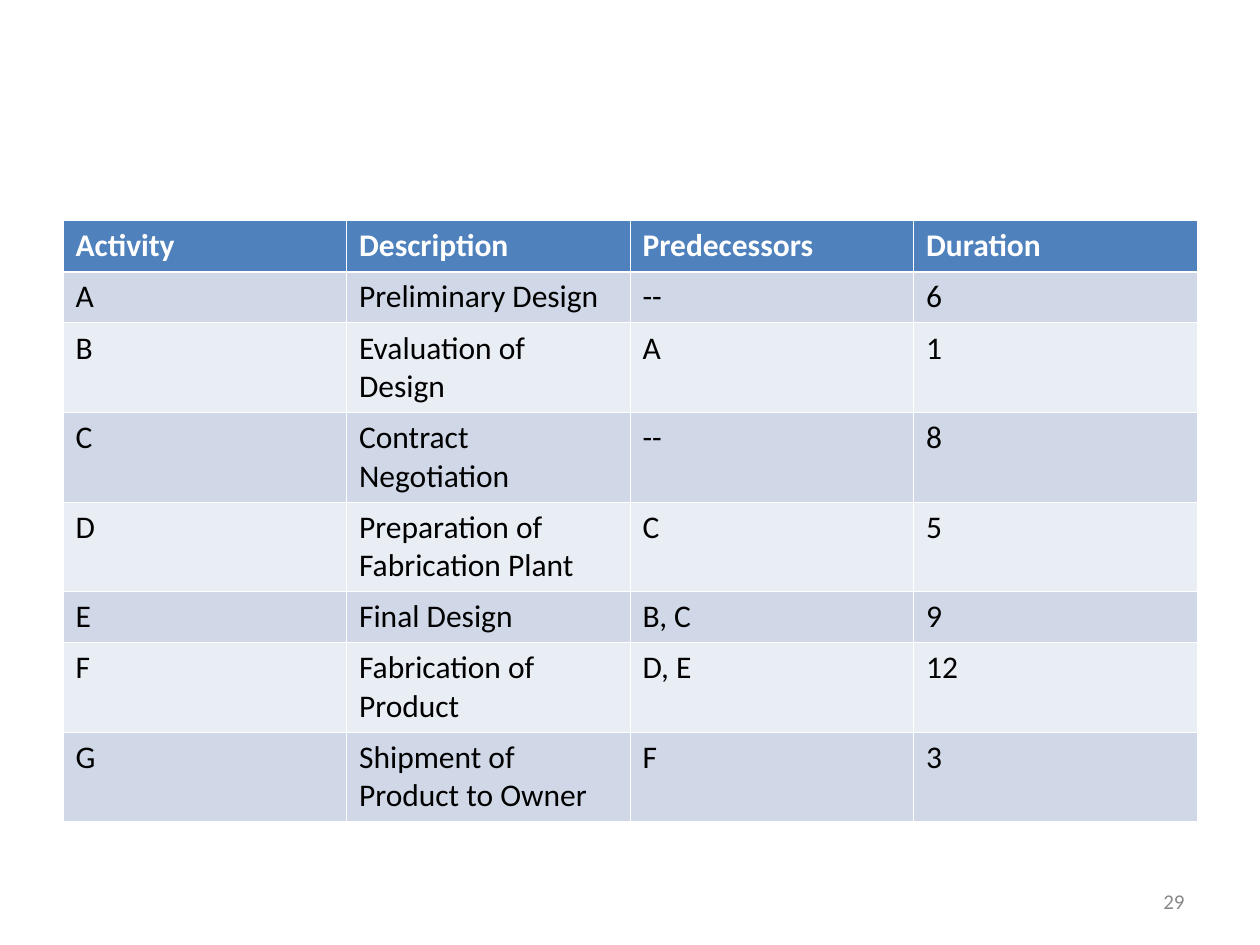
from lxml.etree import SubElement
from pptx import Presentation
from pptx.dml.color import RGBColor
from pptx.enum.text import MSO_ANCHOR as Anchor, PP_ALIGN as Align
from pptx.oxml.ns import qn
from pptx.util import Pt

WHITE = RGBColor(0xFF, 0xFF, 0xFF)
BLACK = RGBColor(0x00, 0x00, 0x00)
GREY = RGBColor(0x89, 0x89, 0x89)
BLUE = RGBColor(0x4F, 0x81, 0xBD)
BAND_DARK = RGBColor(0xD0, 0xD8, 0xE8)
BAND_LIGHT = RGBColor(0xE9, 0xED, 0xF4)

THIN, THICK = Pt(0.45), Pt(1.47)
SINGLE_LINE, DOUBLE_LINE = Pt(29.25), Pt(50.4)

ACTIVITIES = [
    ("Activity", "Description", "Predecessors", "Duration"),
    ("A", "Preliminary Design", "--", "6"),
    ("B", "Evaluation of Design", "A", "1"),
    ("C", "Contract Negotiation", "--", "8"),
    ("D", "Preparation of Fabrication Plant", "C", "5"),
    ("E", "Final Design", "B, C", "9"),
    ("F", "Fabrication of Product", "D, E", "12"),
    ("G", "Shipment of Product to Owner", "F", "3"),
]
ROW_HEIGHTS = [SINGLE_LINE if len(description) < 20 else DOUBLE_LINE
               for _, description, _, _ in ACTIVITIES]


class ScheduleSlide:
    font_name = "Calibri"
    table_size = Pt(18)
    number_size = Pt(12)

    def __init__(self, deck):
        self.slide = deck.slides.add_slide(deck.slide_layouts[6])

    def set_text(self, paragraph, text, color, **font_values):
        paragraph.text = text
        paragraph.font.color.rgb = color
        for attribute, value in {"name": self.font_name, **font_values}.items():
            setattr(paragraph.font, attribute, value)

    def border(self, cell, widths):
        properties = cell._tc.get_or_add_tcPr()
        for side, width in widths.items():
            line = SubElement(properties, qn(f"a:ln{side}"), w=str(width))
            fill = SubElement(line, qn("a:solidFill"))
            SubElement(fill, qn("a:srgbClr"), val=str(WHITE))

    def table(self, rows, heights, left, top, width):
        columns = len(rows[0])
        table = self.slide.shapes.add_table(
            len(rows), columns, left, top, width, sum(heights)).table
        for column in table.columns:
            column.width = width // columns
        for index, (values, height) in enumerate(zip(rows, heights)):
            table.rows[index].height = height
            is_header = index == 0
            band = BLUE if is_header else (BAND_LIGHT, BAND_DARK)[index % 2]
            widths = {"L": THIN, "R": THIN,
                      "T": THICK if index == 1 else THIN,
                      "B": THICK if is_header else THIN}
            for cell, value in zip(table.rows[index].cells, values):
                self.border(cell, widths)
                cell.fill.solid()
                cell.fill.fore_color.rgb = band
                self.set_text(cell.text_frame.paragraphs[0], value,
                              WHITE if is_header else BLACK,
                              size=self.table_size, bold=is_header)

    def page_number(self, text, left, top, width, height):
        frame = self.slide.shapes.add_textbox(left, top, width, height).text_frame
        for attribute, value in {"word_wrap": True,
                                 "vertical_anchor": Anchor.MIDDLE}.items():
            setattr(frame, attribute, value)
        paragraph = frame.paragraphs[0]
        paragraph.alignment = Align.RIGHT
        self.set_text(paragraph, text, GREY, size=self.number_size)


def main():
    deck = Presentation()
    deck.slide_width, deck.slide_height = Pt(720), Pt(540)
    schedule = ScheduleSlide(deck)
    schedule.table(ACTIVITIES, ROW_HEIGHTS, Pt(36), Pt(126), Pt(648))
    schedule.page_number("29", Pt(516), Pt(500.5), Pt(168), Pt(28.75))
    deck.save("out.pptx")


if __name__ == "__main__":
    main()
